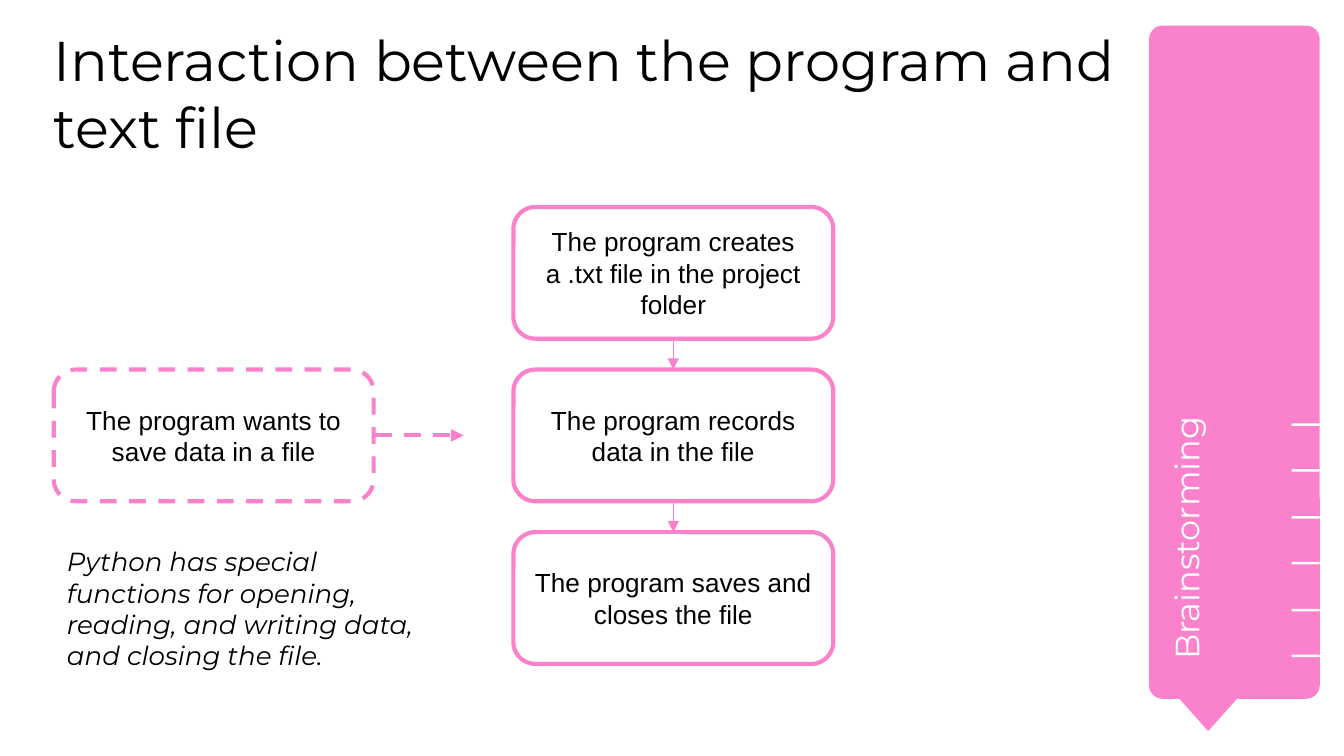
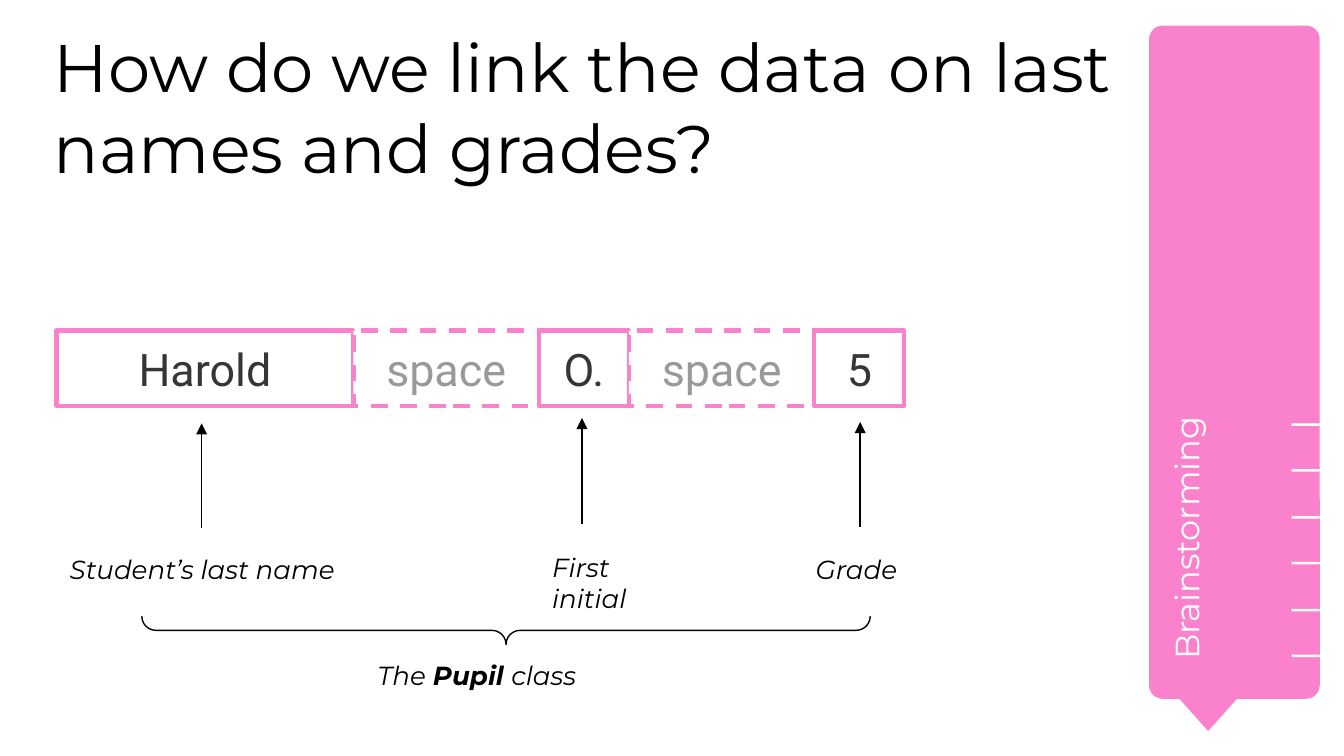
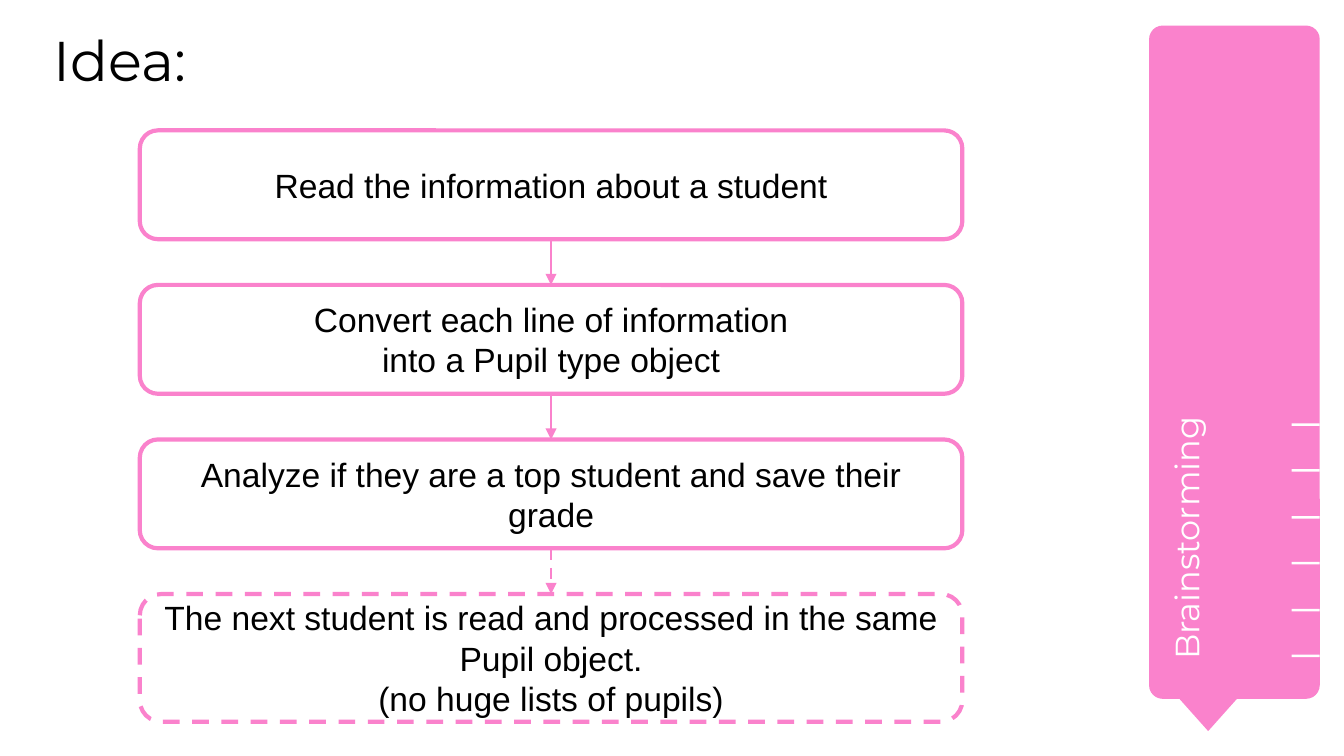
from dataclasses import dataclass

from lxml.etree import SubElement
from pptx import Presentation
from pptx.dml.color import RGBColor
from pptx.enum.dml import MSO_LINE
from pptx.enum.shapes import MSO_CONNECTOR, MSO_SHAPE
from pptx.enum.text import MSO_ANCHOR, MSO_AUTO_SIZE, PP_ALIGN
from pptx.oxml.ns import qn
from pptx.util import Pt

PX = 9144
RECT, ROUNDED = MSO_SHAPE.RECTANGLE, MSO_SHAPE.ROUNDED_RECTANGLE
POINTER, BRACE = MSO_SHAPE.FLOWCHART_MERGE, MSO_SHAPE.LEFT_BRACE
STRAIGHT, DASH = MSO_CONNECTOR.STRAIGHT, MSO_LINE.DASH
TOP, MIDDLE = MSO_ANCHOR.TOP, MSO_ANCHOR.MIDDLE
LEFT, CENTER = PP_ALIGN.LEFT, PP_ALIGN.CENTER
NO_FIT = MSO_AUTO_SIZE.NONE


@dataclass(frozen=True)
class Theme:
    pink: RGBColor = RGBColor(0xFA, 0x82, 0xCC)
    white: RGBColor = RGBColor(0xFF, 0xFF, 0xFF)
    black: RGBColor = RGBColor(0, 0, 0)
    dark: RGBColor = RGBColor(0x36, 0x36, 0x36)
    gray: RGBColor = RGBColor(0x99, 0x99, 0x99)
    display: str = "Montserrat"
    body: str = "Arial"
    record: str = "Roboto"
    title: int = 30
    large_title: int = 36
    field: int = 24
    step: int = 18
    note: int = 14
    border: float = 2.25
    flow: float = 1.5
    hairline: float = 0.75


theme = Theme()


def add_block(shapes, kind, box, paragraphs=(), size=theme.note, font=theme.body,
              color=theme.black, fill=None, line=None, weight=theme.border,
              dash=None, italic=False):
    frame_box = [length * PX for length in box]
    if kind is None:
        block = shapes.add_textbox(*frame_box)
    else:
        block = shapes.add_shape(kind, *frame_box)
        block.shadow.inherit = False
        if fill is None:
            block.fill.background()
        else:
            block.fill.solid()
            block.fill.fore_color.rgb = fill
        if line is None:
            block.line.fill.background()
        else:
            block.line.color.rgb = line
            block.line.width = Pt(weight)
            block.line.dash_style = dash
    frame = block.text_frame
    frame.word_wrap = True
    frame.vertical_anchor = TOP if kind is None else MIDDLE
    frame.margin_left = frame.margin_right = 10 * PX
    frame.margin_top = frame.margin_bottom = 10 * PX
    for index, runs in enumerate(paragraphs):
        paragraph = frame.add_paragraph() if index else frame.paragraphs[0]
        paragraph.alignment = LEFT if kind is None else CENTER
        for text in runs:
            run = paragraph.add_run()
            run.text = text
            run.font.size = Pt(size)
            run.font.name = font
            run.font.color.rgb = color
            run.font.italic = italic
    return block


def add_arrow(shapes, start, end, color, weight, dash=None):
    arrow = shapes.add_connector(STRAIGHT, *[length * PX for length in start + end])
    arrow.line.color.rgb = color
    arrow.line.width = Pt(weight)
    arrow.line.dash_style = dash
    SubElement(arrow.line._ln, qn("a:tailEnd"), type="triangle")
    SubElement(arrow._element.spPr, qn("a:effectLst"))


deck = Presentation()
deck.slide_width = 1000 * PX
deck.slide_height = deck.slide_width * 9 // 16
title_only = deck.slide_layouts[5]

headings = [
    ("Interaction between the program and text file", theme.title, 69),
    ("How do we link the data on last names and grades?", theme.large_title, 203),
    ("Idea:", theme.title, 78),
]
canvases = []
for heading, size, height in headings:
    slide = deck.slides.add_slide(title_only)
    shapes = slide.shapes
    canvases.append(shapes)

    title = shapes.title
    title.left, title.top = 40 * PX, 19 * PX
    title.width, title.height = 794 * PX, height * PX
    frame = title.text_frame
    frame.word_wrap, frame.auto_size, frame.vertical_anchor = True, NO_FIT, TOP
    frame.margin_left = frame.margin_right = frame.margin_top = frame.margin_bottom = 0
    frame.paragraphs[0].alignment = LEFT
    run = frame.paragraphs[0].add_run()
    run.text = heading
    run.font.size = Pt(size)
    run.font.name = theme.display
    run.font.color.rgb = theme.black

    bookmark = shapes.add_group_shape().shapes
    ribbon = add_block(bookmark, ROUNDED, (855, 19, 127, 501), fill=theme.pink)
    ribbon.adjustments[0] = 0.08
    add_block(bookmark, POINTER, (866, 507, 66, 37), fill=theme.pink)
    section = add_block(shapes, None, (714, 290, 354, 67), [["Brainstorming"]],
                        theme.step, theme.display, theme.white)
    section.rotation = 270
    for tick in range(6):
        add_block(shapes, RECT, (961, 315 + 69 * tick // 2, 21, 2), fill=theme.white)

file_flow, record, idea = canvases

add_block(file_flow, ROUNDED, (40, 275, 238, 98),
          [["The program wants to save data in a file"]],
          fill=theme.white, line=theme.pink, dash=DASH)
file_steps = [
    "The program creates a .txt file in the project folder",
    "The program records data in the file",
    "The program saves and closes the file",
]
for index, step in enumerate(file_steps):
    top = 154 + 121 * index
    add_block(file_flow, ROUNDED, (382, top, 238, 98), [[step]],
              fill=theme.white, line=theme.pink)
    if index:
        add_arrow(file_flow, (501, top - 23), (501, top), theme.pink, theme.hairline)
add_arrow(file_flow, (279, 324), (345, 324), theme.pink, theme.border, DASH)
add_block(file_flow, None, (40, 396, 301, 98),
          [["Python has special functions for opening, reading, and writing data, "
            "and closing the file."]],
          font=theme.display, italic=True)

fields = [("Harold", 221), ("space", 138), ("O.", 67), ("space", 138), ("5", 67)]
left = 42
for field, width in fields:
    gap = field == "space"
    add_block(record, RECT, (left, 246, width, 56), [[field]], theme.field, theme.record,
              theme.gray if gap else theme.dark, theme.white, theme.pink,
              dash=DASH if gap else None)
    left += width

field_notes = [
    ("Student’s last name", 42, 402, 222, 150, 393, 315),
    ("First initial", 401, 400, 101, 433, 390, 311),
    ("Grade", 597, 402, 107, 640, 392, 314),
]
for note, left, top, width, arrow_x, tail, head in field_notes:
    add_block(record, None, (left, top, width, 47), [[note]],
              font=theme.display, italic=True)
    add_arrow(record, (arrow_x, tail), (arrow_x, head), theme.black, theme.hairline)

brace = add_block(record, BRACE, (366, 198, 21, 542),
                  line=theme.black, weight=theme.hairline)
brace.rotation = 270
brace.adjustments[0] = 0.5
class_note = add_block(record, None, (271, 481, 173, 47), [["The ", "Pupil ", "class"]],
                       font=theme.display, italic=True)
class_note.text_frame.paragraphs[0].runs[1].font.bold = True

idea_steps = [
    ([["Read the information about a student"]], 81, None),
    ([["Convert each line of information"], ["into a Pupil type object"]], 81, None),
    ([["Analyze if they are a top student and save their grade"]], 81, None),
    ([["The next student is read and processed in the same Pupil object."],
      ["(no huge lists of pupils)"]], 95, DASH),
]
for index, (step, height, dash) in enumerate(idea_steps):
    top = 97 + 115 * index
    add_block(idea, ROUNDED, (104, top, 612, height), step, theme.step,
              fill=theme.white, line=theme.pink, dash=dash)
    if index:
        add_arrow(idea, (410, top - 34), (410, top), theme.pink, theme.flow, dash)

deck.save("out.pptx")
